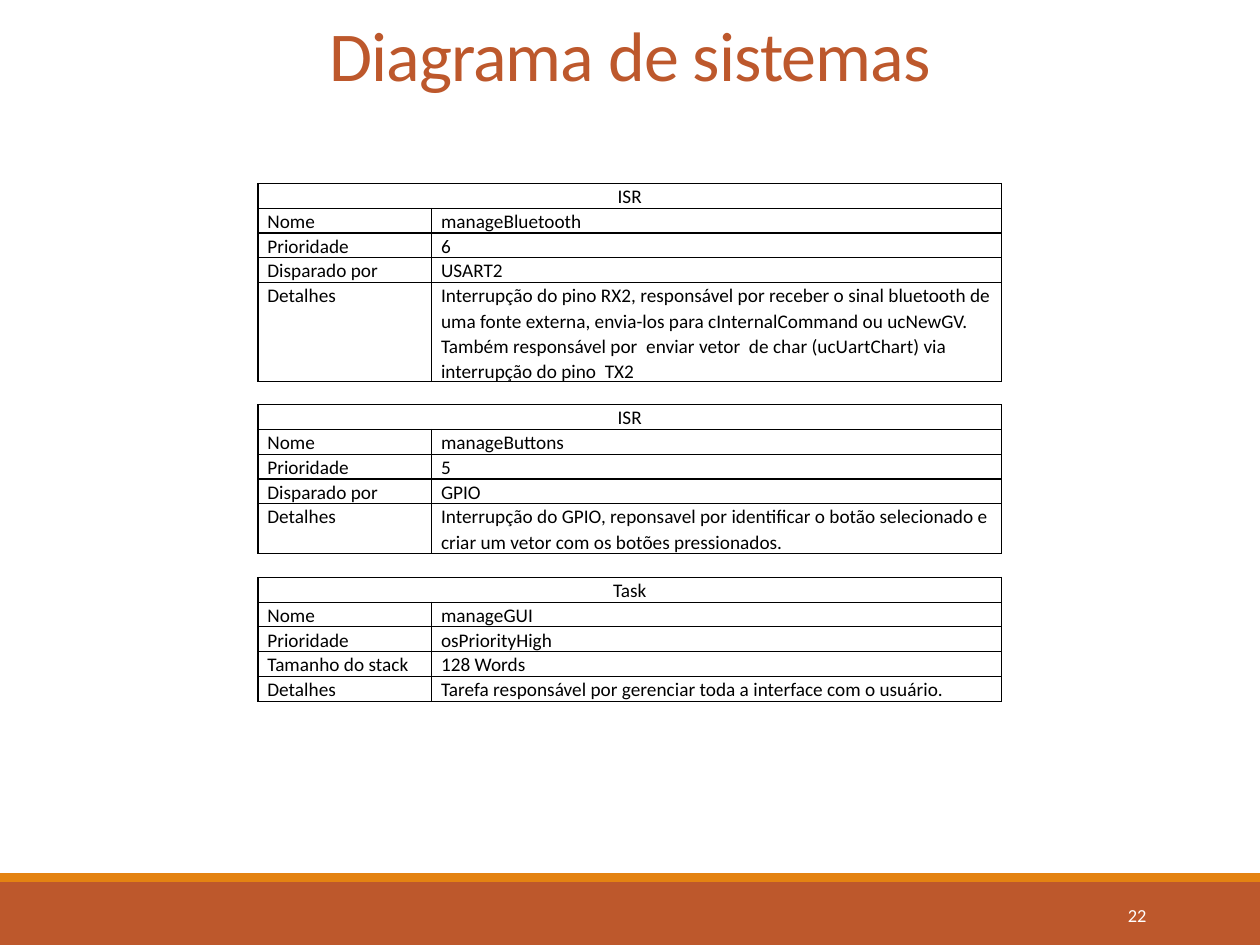
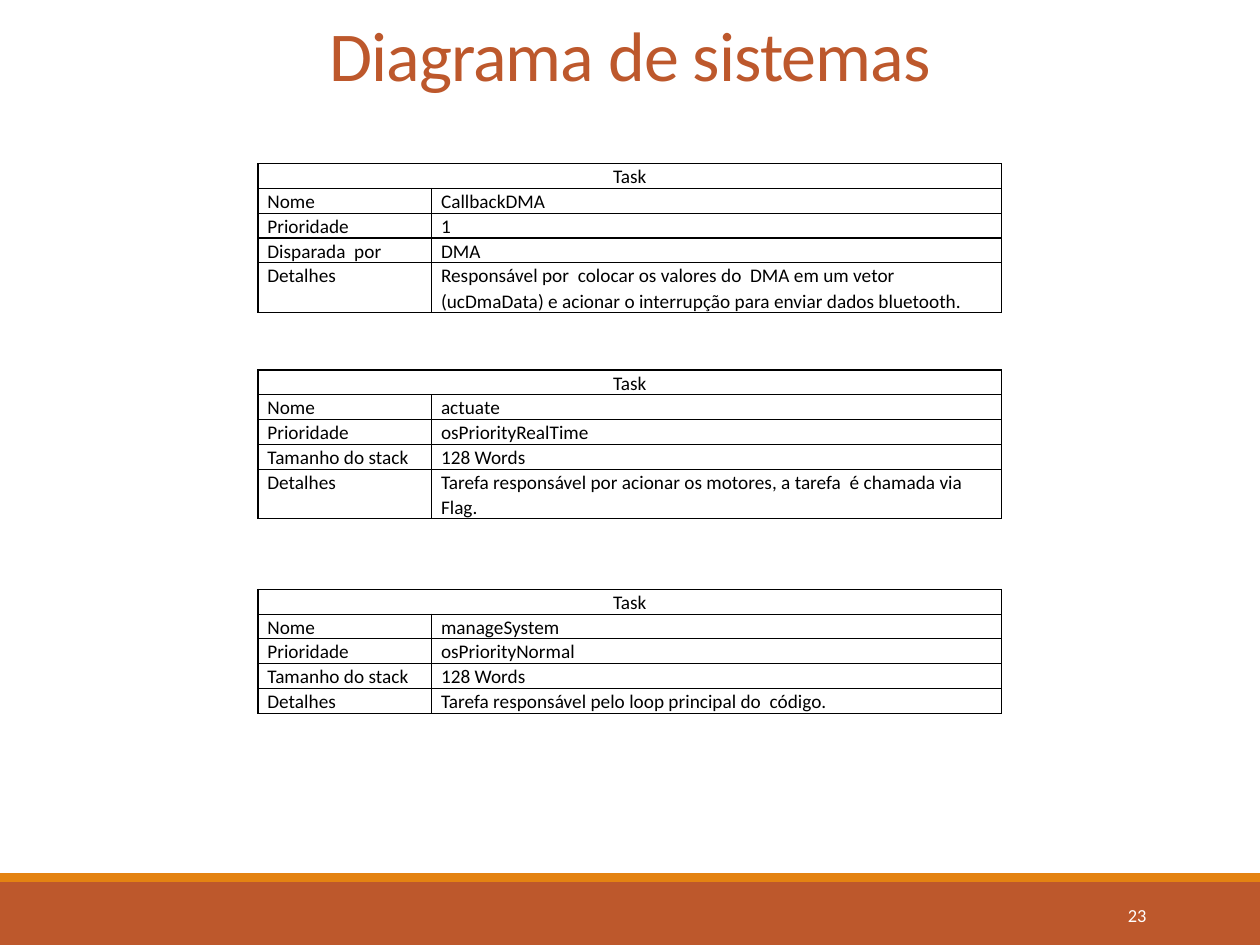
import pptx
import pptx.dml.color
import pptx.enum.shapes
import pptx.enum.text
import pptx.oxml
import pptx.oxml.ns
import pptx.util
from pptx.util import Cm

COLORS = {"rust": "BD582C", "orange": "E48312", "white": "FFFFFF", "black": "000000"}
FONT = "Calibri"
TITLE = "Diagrama de sistemas"
FIRST_PAGE = 22

ALIGN = pptx.enum.text.PP_ALIGN
ANCHOR = pptx.enum.text.MSO_ANCHOR

TABLE_LEFT = 5.2
COLUMN_WIDTHS = (3.5, 11.49)
LINE_HEIGHT = 0.48
CELL_FORMAT = {"margin_left": Cm(0.19), "margin_right": Cm(0.19),
               "margin_top": 0, "margin_bottom": 0}
CELL_PARAGRAPH = {"line_spacing": 1.07, "space_after": pptx.util.Pt(8)}

# Each card: top in cm, heading, lines of text in its last row, rows
SLIDES = [
    [
        (3.7, "ISR", 4, [
            ("Nome", "manageBluetooth"),
            ("Prioridade", "6"),
            ("Disparado por", "USART2"),
            ("Detalhes", "Interrupção do pino RX2, responsável por receber o sinal "
             "bluetooth de uma fonte externa, envia-los para cInternalCommand ou "
             "ucNewGV. Também responsável por  enviar vetor  de char (ucUartChart) "
             "via interrupção do pino  TX2")]),
        (8.16, "ISR", 2, [
            ("Nome", "manageButtons"),
            ("Prioridade", "5"),
            ("Disparado por", "GPIO"),
            ("Detalhes", "Interrupção do GPIO, reponsavel por identificar o botão "
             "selecionado e criar um vetor com os botões pressionados.")]),
        (11.64, "Task", 1, [
            ("Nome", "manageGUI"),
            ("Prioridade", "osPriorityHigh"),
            ("Tamanho do stack", "128 Words"),
            ("Detalhes", "Tarefa responsável por gerenciar toda a interface com o "
             "usuário.")]),
    ],
    [
        (3.3, "Task", 2, [
            ("Nome", "CallbackDMA"),
            ("Prioridade", "1"),
            ("Disparada  por", "DMA"),
            ("Detalhes", "Responsável por  colocar os valores do  DMA em um vetor "
             "(ucDmaData) e acionar o interrupção para enviar dados bluetooth.")]),
        (7.46, "Task", 2, [
            ("Nome", "actuate"),
            ("Prioridade", "osPriorityRealTime"),
            ("Tamanho do stack", "128 Words"),
            ("Detalhes", "Tarefa responsável por acionar os motores, a tarefa  é "
             "chamada via Flag.")]),
        (11.88, "Task", 1, [
            ("Nome", "manageSystem"),
            ("Prioridade", "osPriorityNormal"),
            ("Tamanho do stack", "128 Words"),
            ("Detalhes", "Tarefa responsável pelo loop principal do  código.")]),
    ],
]


def rgb(color):
    return pptx.dml.color.RGBColor.from_string(COLORS[color])


def apply_format(target, values):
    for attribute, value in values.items():
        setattr(target, attribute, value)


def place(shape, left, top, width, height):
    apply_format(shape, {"left": Cm(left), "top": Cm(top),
                         "width": Cm(width), "height": Cm(height)})


def write(paragraph, text, size, color, align):
    run = paragraph.add_run()
    run.text = text
    paragraph.alignment = align
    apply_format(run.font, {"name": FONT, "size": pptx.util.Pt(size)})
    run.font.color.rgb = rgb(color)
    return run


def add_band(slide, top, height, color):
    band = slide.shapes.add_shape(pptx.enum.shapes.MSO_SHAPE.RECTANGLE,
                                  0, Cm(top), Cm(25.4), Cm(height))
    band.shadow.inherit = False
    band.fill.solid()
    band.fill.fore_color.rgb = rgb(color)
    band.line.fill.background()


def add_page_number(slide, number):
    box = slide.shapes.add_textbox(Cm(20.62), Cm(17.93), Cm(2.74), Cm(1.02))
    apply_format(box.text_frame, {"word_wrap": True, "vertical_anchor": ANCHOR.MIDDLE})
    write(box.text_frame.paragraphs[0], str(number), 10.5, "white", ALIGN.RIGHT)


def set_title(slide):
    title = slide.shapes.title
    place(title, 2.22, 0.2, 20.96, 1.86)
    apply_format(title.text_frame, {"vertical_anchor": ANCHOR.BOTTOM, "word_wrap": True,
                                    "auto_size": pptx.enum.text.MSO_AUTO_SIZE.NONE})
    paragraph = title.text_frame.paragraphs[0]
    paragraph.line_spacing = 0.85
    run = write(paragraph, TITLE, 40, "rust", ALIGN.CENTER)
    run.font._element.set("spc", "-50")


def add_borders(cell):
    properties = cell._tc.get_or_add_tcPr()
    for side in ("lnL", "lnR", "lnT", "lnB"):
        properties.append(pptx.oxml.parse_xml(
            f'<a:{side} {pptx.oxml.ns.nsdecls("a")} w="9525"><a:solidFill>'
            f'<a:srgbClr val="{COLORS["black"]}"/></a:solidFill></a:{side}>'))


def fill_cell(cell, text, align=ALIGN.LEFT):
    apply_format(cell, CELL_FORMAT)
    paragraph = cell.text_frame.paragraphs[0]
    apply_format(paragraph, CELL_PARAGRAPH)
    write(paragraph, text, 11, "black", align)


def add_card(slide, top, heading, detail_lines, rows):
    """Add a table with a merged heading row above label and value rows."""
    line_counts = [1] * len(rows) + [detail_lines]
    card = slide.shapes.add_table(
        len(line_counts), len(COLUMN_WIDTHS), Cm(TABLE_LEFT), Cm(top),
        Cm(sum(COLUMN_WIDTHS)), Cm(LINE_HEIGHT * sum(line_counts))).table
    apply_format(card, {"first_row": False, "horz_banding": False})
    for column, width in zip(card.columns, COLUMN_WIDTHS):
        column.width = Cm(width)
    for row, lines in zip(card.rows, line_counts):
        row.height = Cm(LINE_HEIGHT * lines)
    for cell in card.iter_cells():
        add_borders(cell)
        cell.fill.background()
    card.cell(0, 0).merge(card.cell(0, 1))
    fill_cell(card.cell(0, 0), heading, ALIGN.CENTER)
    for index, (label, value) in enumerate(rows, start=1):
        fill_cell(card.cell(index, 0), label)
        fill_cell(card.cell(index, 1), value)


def main():
    deck = pptx.Presentation()
    apply_format(deck, {"slide_width": Cm(25.4), "slide_height": Cm(19.05)})
    title_only = deck.slide_layouts[5]
    for page, cards in enumerate(SLIDES, start=FIRST_PAGE):
        slide = deck.slides.add_slide(title_only)
        add_band(slide, 17.78, 1.27, "rust")
        add_band(slide, 17.6, 0.18, "orange")
        add_page_number(slide, page)
        set_title(slide)
        for card in cards:
            add_card(slide, *card)
    deck.save("out.pptx")


if __name__ == "__main__":
    main()
